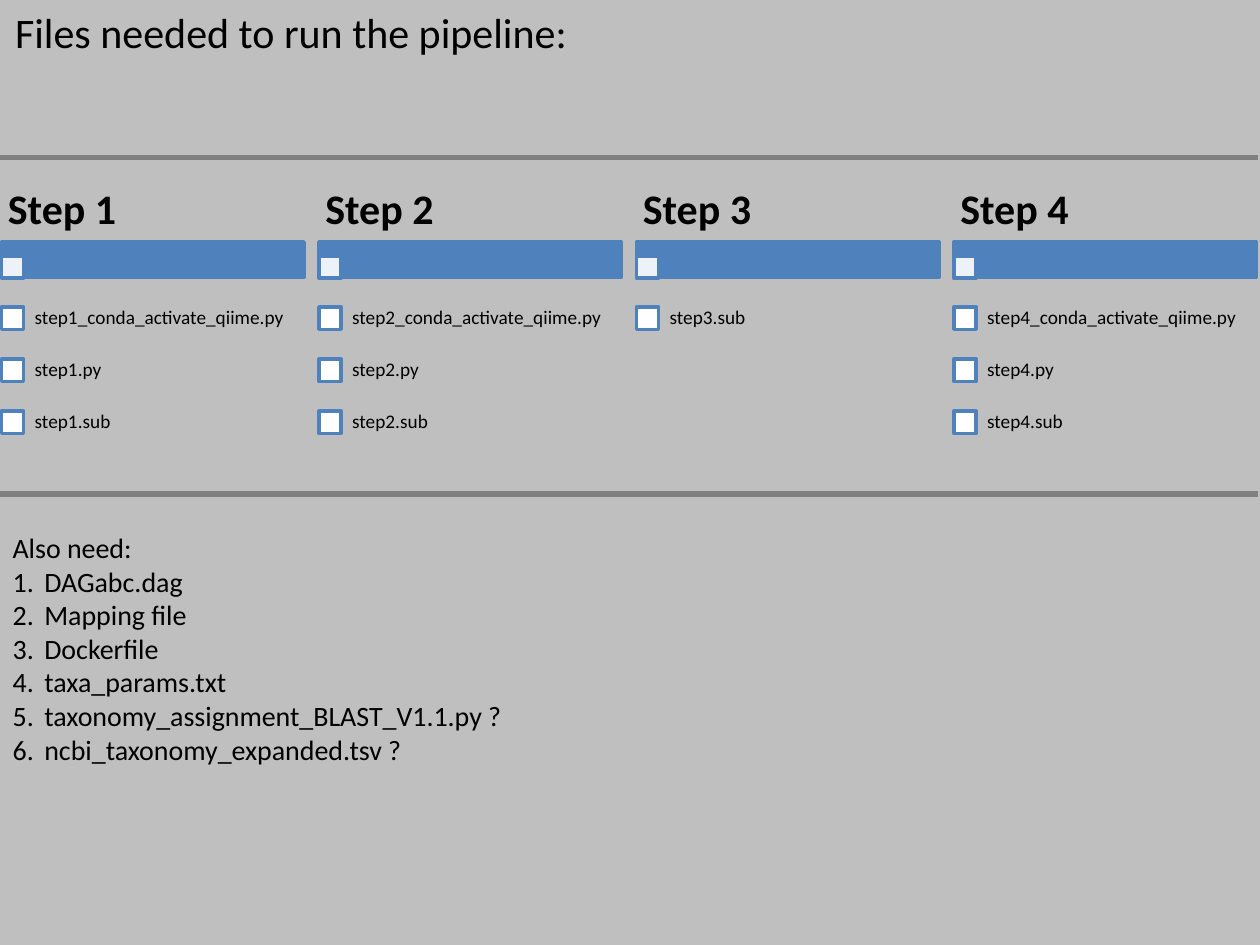
"""Build a slide listing the files needed for each pipeline step."""
import pptx
import pptx.dml.color
import pptx.enum.shapes
import pptx.enum.text
import pptx.oxml
import pptx.oxml.ns
import pptx.util
from lxml import etree

Cm = pptx.util.Cm
Pt = pptx.util.Pt
RGBColor = pptx.dml.color.RGBColor
ANCHOR = pptx.enum.text.MSO_ANCHOR
qn = pptx.oxml.ns.qn

GREY = RGBColor(0xBF, 0xBF, 0xBF)
RULE_GREY = RGBColor(0x80, 0x80, 0x80)
BLUE = RGBColor(0x4F, 0x81, 0xBD)
WHITE = RGBColor(0xFF, 0xFF, 0xFF)
BLACK = RGBColor(0, 0, 0)

STEPS = {
    "Step 1": ["step1_conda_activate_qiime.py", "step1.py", "step1.sub"],
    "Step 2": ["step2_conda_activate_qiime.py", "step2.py", "step2.sub"],
    "Step 3": ["step3.sub"],
    "Step 4": ["step4_conda_activate_qiime.py", "step4.py", "step4.sub"],
}
OTHER_FILES = ["DAGabc.dag", "Mapping file", "Dockerfile", "taxa_params.txt",
               "taxonomy_assignment_BLAST_V1.1.py ?",
               "ncbi_taxonomy_expanded.tsv ?"]

COLUMN_PITCH, COLUMN_WIDTH = 6.4, 6.1
ROW_TOP, ROW_HEIGHT = 5.89, 1.05
BOX = 0.45

deck = pptx.Presentation()
deck.slide_width, deck.slide_height = Cm(25.4), Cm(19.05)
slide = deck.slides.add_slide(deck.slide_layouts[1])
slide.background.fill.solid()
slide.background.fill.fore_color.rgb = GREY


def add_box(left, top, width, height, colour):
    box = slide.shapes.add_shape(pptx.enum.shapes.MSO_SHAPE.RECTANGLE,
                                 Cm(left), Cm(top), Cm(width), Cm(height))
    box.shadow.inherit = False
    box.fill.solid()
    box.fill.fore_color.rgb = colour
    box.line.color.rgb = BLUE
    box.line.width = Pt(2)
    return box


def write(paragraph, text, size, bold=False):
    run = paragraph.add_run()
    run.text = text
    run.font.name = "Calibri"
    run.font.size = Pt(size)
    run.font.bold = bold
    run.font.color.rgb = BLACK


for column, (step, files) in enumerate(STEPS.items()):
    left = 0.03 + column * COLUMN_PITCH
    add_box(left, 4.88, COLUMN_WIDTH, 0.71, BLUE)
    marker = add_box(left, 5.16, BOX, BOX, WHITE)
    white = marker.fill._xPr.find(".//" + qn("a:srgbClr"))
    etree.SubElement(white, qn("a:alpha"), val="90000")

    labels = [(step, left, 3.61, COLUMN_WIDTH, 1.3, 24, 0.13, 0.08)]
    for row, file in enumerate(files):
        top = ROW_TOP + row * ROW_HEIGHT
        add_box(left, top + 0.3, BOX, BOX, WHITE)
        labels.append((file, left + 0.44, top, COLUMN_WIDTH - 0.44,
                       ROW_HEIGHT, 11, 0.23, 0.23))

    for text, x, y, width, height, size, side, edge in labels:
        label = slide.shapes.add_textbox(Cm(x), Cm(y), Cm(width), Cm(height))
        frame = label.text_frame
        frame.word_wrap = True
        frame.vertical_anchor = ANCHOR.MIDDLE
        frame.margin_left = frame.margin_right = Cm(side)
        frame.margin_top = frame.margin_bottom = Cm(edge)
        frame.paragraphs[0].line_spacing = 0.9
        write(frame.paragraphs[0], text, size, bold=text == step)

needs = slide.placeholders[1]
needs.left, needs.top, needs.width, needs.height = Cm(0), Cm(10.57), Cm(25.35), Cm(5.05)
needs.text_frame.auto_size = pptx.enum.text.MSO_AUTO_SIZE.NONE
for number, text in enumerate(["Also need:"] + OTHER_FILES):
    item = needs.text_frame.add_paragraph() if number else needs.text_frame.paragraphs[0]
    item.space_before = Pt(0)
    write(item, text, 16)
    properties = item._p.get_or_add_pPr()
    indent = Cm(0.64) if number else 0
    properties.set("marL", str(indent))
    properties.set("indent", str(-indent))
    if number:
        etree.SubElement(properties, qn("a:buFont"), typeface="+mj-lt")
        etree.SubElement(properties, qn("a:buAutoNum"), type="arabicPeriod")
    else:
        etree.SubElement(properties, qn("a:buNone"))

for y in (9.96, 3.18):
    rule = slide.shapes.add_connector(pptx.enum.shapes.MSO_CONNECTOR.STRAIGHT,
                                      Cm(-0.05), Cm(y), Cm(25.35), Cm(y))
    rule.line.color.rgb = RULE_GREY
    rule.line.width = Pt(3)
    etree.SubElement(rule._element.spPr, qn("a:effectLst"))

title = slide.shapes.title
title.left, title.top, title.width, title.height = Cm(0.05), Cm(0), Cm(25.35), Cm(1.27)
title.text_frame.auto_size = pptx.enum.text.MSO_AUTO_SIZE.NONE
title.text_frame.vertical_anchor = ANCHOR.TOP
title.text_frame.paragraphs[0].alignment = pptx.enum.text.PP_ALIGN.LEFT
write(title.text_frame.paragraphs[0], "Files needed to run the pipeline:", 24)

deck.save("out.pptx")
